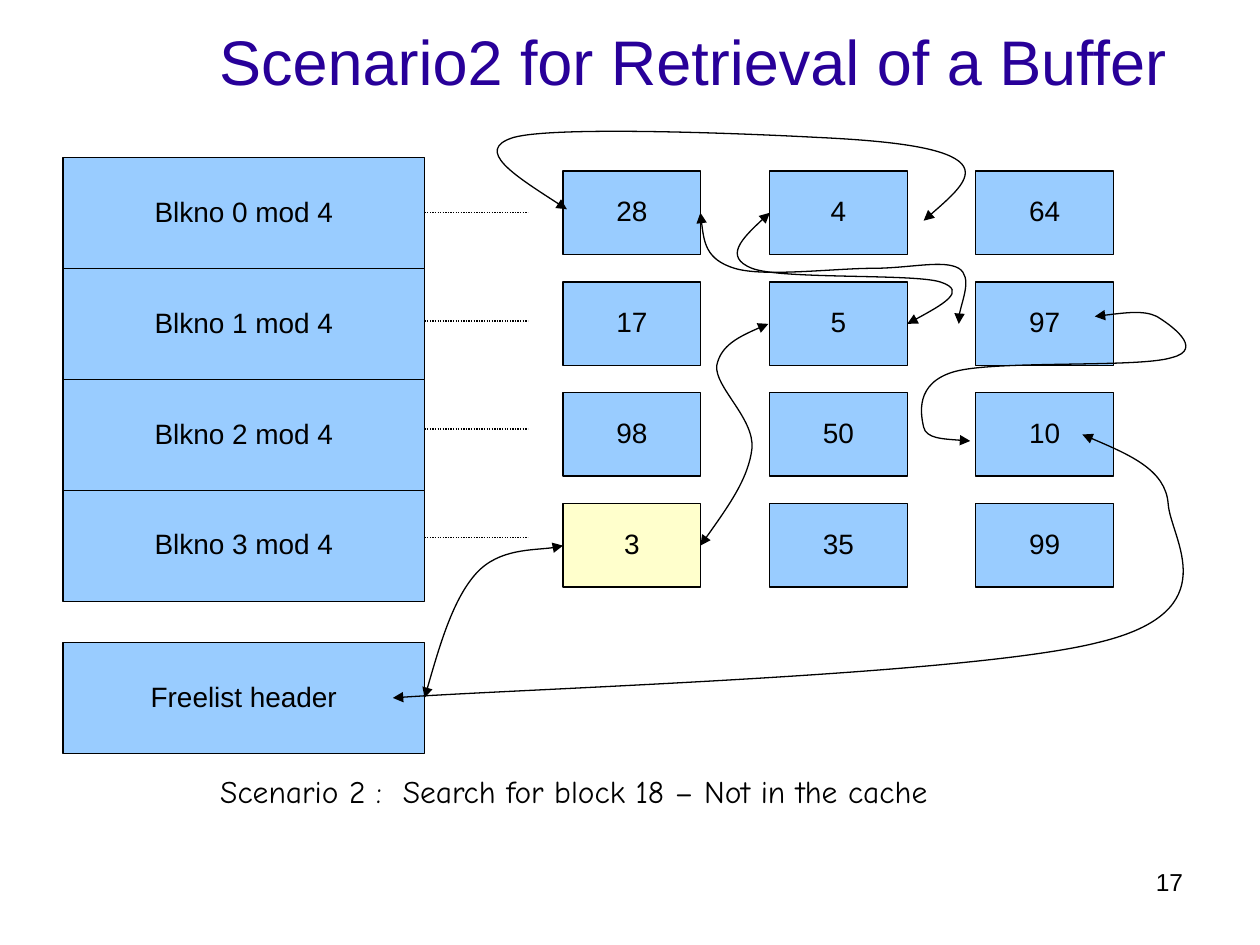
"""Build the slide on scenario 2 of buffer retrieval, with hash queues and free list."""
from lxml.etree import SubElement
from pptx import Presentation
from pptx.dml.color import RGBColor
from pptx.enum.dml import MSO_LINE
from pptx.enum.shapes import MSO_CONNECTOR, MSO_SHAPE
from pptx.enum.text import MSO_ANCHOR as Anchor, MSO_AUTO_SIZE as AutoSize, PP_ALIGN as Align
from pptx.oxml.ns import qn
from pptx.util import Cm, Pt

BLACK = RGBColor(0x00, 0x00, 0x00)
INDIGO = RGBColor(0x28, 0x00, 0x99)
BLUE = RGBColor(0x99, 0xCC, 0xFF)
YELLOW = RGBColor(0xFF, 0xFF, 0xCC)

TITLE = "Scenario2 for Retrieval of a Buffer"
CAPTION = "Scenario 2 :  Search for block 18 – Not in the cache"
PAGE_NUMBER = "17"
FREELIST = "Freelist header"
QUEUES = [
    ("Blkno 0 mod 4", ["28", "4", "64"]),
    ("Blkno 1 mod 4", ["17", "5", "97"]),
    ("Blkno 2 mod 4", ["98", "50", "10"]),
    ("Blkno 3 mod 4", ["3", "35", "99"]),
]
HIGHLIGHTED = "3"

FREELIST_LINKS = [
    [(8.56, 14.07), (8.84, 13.08), (9.14, 12.07), (9.6, 11.56),
     (10.06, 11.05), (11.05, 11.1), (11.35, 11)],
    [(14.12, 11), (14.61, 10.31), (15.09, 9.65), (15.16, 9.04),
     (15.21, 8.43), (14.4, 7.8), (14.45, 7.37),
     (14.53, 6.96), (15.01, 6.73), (15.49, 6.53)],
    [(18.29, 6.53), (18.9, 6.2), (19.51, 5.87), (18.97, 5.69),
     (18.47, 5.51), (15.75, 5.64), (15.16, 5.41),
     (14.58, 5.18), (15.04, 4.72), (15.52, 4.29)],
    [(14.12, 4.29), (14.17, 4.75), (14.22, 5.23), (14.81, 5.41),
     (15.39, 5.59), (16.84, 5.41), (17.58, 5.41),
     (18.34, 5.41), (19.02, 5.23), (19.33, 5.41),
     (19.61, 5.59), (19.28, 6.35), (19.33, 6.53)],
    [(22.07, 6.38), (22.56, 6.32), (23.06, 6.25), (23.32, 6.38),
     (23.57, 6.53), (24.31, 7.04), (23.62, 7.21),
     (22.96, 7.42), (20.09, 7.26), (19.25, 7.49),
     (18.42, 7.72), (18.57, 8.38), (18.62, 8.61),
     (18.67, 8.84), (19.13, 8.86), (19.56, 8.89)],
    [(21.82, 8.76), (22.66, 9.12), (23.5, 9.47), (23.55, 10.16),
     (23.6, 10.87), (24.77, 12.32), (22.15, 12.95),
     (19.56, 13.61), (10.29, 13.89), (7.92, 14.07)],
    [(18.62, 4.45), (19.15, 3.99), (19.69, 3.53), (19.33, 3.25),
     (18.97, 2.97), (17.96, 2.84), (16.46, 2.77),
     (14.96, 2.69), (11.2, 2.54), (10.36, 2.77),
     (9.53, 3.02), (10.49, 3.61), (11.43, 4.22)],
]

HEADER_LEFT, HEADER_TOP, HEADER_WIDTH, ROW_HEIGHT = 1.27, 3.18, 7.29, 2.235
FREELIST_TOP = 12.95
CELL_LEFT, CELL_TOP, CELL_WIDTH, CELL_HEIGHT = 11.35, 3.45, 2.78, 1.68
CELL_PITCH = 4.16
LINK_TOP, LINK_PITCH, LINK_LENGTH = 4.29, 2.18, 2.08
LINE_WIDTH = Pt(0.74)


def set_text(shape, text, size, font="Arial", color=BLACK, frame_format=None, **para_format):
    frame = shape.text_frame
    for name, value in (frame_format or {}).items():
        setattr(frame, name, value)
    para = frame.paragraphs[0]
    for name, value in para_format.items():
        setattr(para, name, value)
    span = para.add_run()
    span.text = text
    for name, value in {"size": Pt(size), "name": font}.items():
        setattr(span.font, name, value)
    span.font.color.rgb = color


def set_line(shape):
    shape.line.color.rgb = BLACK
    shape.line.width = LINE_WIDTH


def add_box(slide, text, left, top, width, height, fill=BLUE):
    box = slide.shapes.add_shape(
        MSO_SHAPE.RECTANGLE, Cm(left), Cm(top), Cm(width), Cm(height))
    box.shadow.inherit = False
    box.fill.solid()
    box.fill.fore_color.rgb = fill
    set_line(box)
    set_text(box, text, 16, alignment=Align.CENTER, line_spacing=0.91,
             frame_format={"word_wrap": False, "vertical_anchor": Anchor.MIDDLE})


def add_queue_line(slide, left, top):
    link = slide.shapes.add_connector(
        MSO_CONNECTOR.STRAIGHT, Cm(left), Cm(top), Cm(left + LINK_LENGTH), Cm(top))
    set_line(link)
    link.line.dash_style = MSO_LINE.ROUND_DOT
    SubElement(link._element.spPr, qn("a:effectLst"))


def add_curve(slide, points):
    start, *rest = [(Cm(x), Cm(y)) for x, y in points]
    builder = slide.shapes.build_freeform(*start)
    builder.add_line_segments(rest, close=False)
    curve = builder.convert_to_shape()
    segments = curve._element.xpath(".//a:path/a:lnTo")
    outline = segments[0].getparent()
    for first in range(0, len(segments), 3):
        bezier = SubElement(outline, qn("a:cubicBezTo"))
        for segment in segments[first:first + 3]:
            bezier.append(segment[0])
            outline.remove(segment)
    curve.shadow.inherit = False
    curve.fill.background()
    set_line(curve)
    for end in ("a:headEnd", "a:tailEnd"):
        SubElement(curve._element.spPr.find(qn("a:ln")), qn(end), type="triangle")


def place(shape, left, top, width, height):
    for name, value in {"left": left, "top": top, "width": width, "height": height}.items():
        setattr(shape, name, Cm(value))


deck = Presentation()
deck.slide_width, deck.slide_height = Cm(25.4), Cm(19.05)
page = deck.slides.add_slide(deck.slide_layouts[5])

title = page.shapes.title
place(title, 2.54, 0, 22.86, 2.54)
margins = {f"margin_{side}": 0 for side in ("left", "top", "right", "bottom")}
set_text(title, TITLE, 36, color=INDIGO, alignment=Align.CENTER, line_spacing=0.98,
         space_before=Pt(11), frame_format={"vertical_anchor": Anchor.MIDDLE, **margins})

for row, (header, blocks) in enumerate(QUEUES):
    offset = row * ROW_HEIGHT
    add_box(page, header, HEADER_LEFT, HEADER_TOP + offset, HEADER_WIDTH, ROW_HEIGHT)
    add_queue_line(page, HEADER_LEFT + HEADER_WIDTH, LINK_TOP + row * LINK_PITCH)
    for column, block in enumerate(blocks):
        add_box(page, block, CELL_LEFT + column * CELL_PITCH, CELL_TOP + offset,
                CELL_WIDTH, CELL_HEIGHT, YELLOW if block == HIGHLIGHTED else BLUE)
add_box(page, FREELIST, HEADER_LEFT, FREELIST_TOP, HEADER_WIDTH, ROW_HEIGHT)

for link_points in FREELIST_LINKS:
    add_curve(page, link_points)

caption = page.shapes.add_textbox(Cm(4.19), Cm(15.44), Cm(14.81), Cm(1.02))
set_text(caption, CAPTION, 18, font="Comic Neue",
         frame_format={"word_wrap": False, "auto_size": AutoSize.SHAPE_TO_FIT_TEXT})

number = page.shapes.add_textbox(Cm(18.21), Cm(17.35), Cm(5.89), Cm(1.32))
set_text(number, PAGE_NUMBER, 14, alignment=Align.RIGHT, frame_format={"word_wrap": True})

deck.save("out.pptx")
